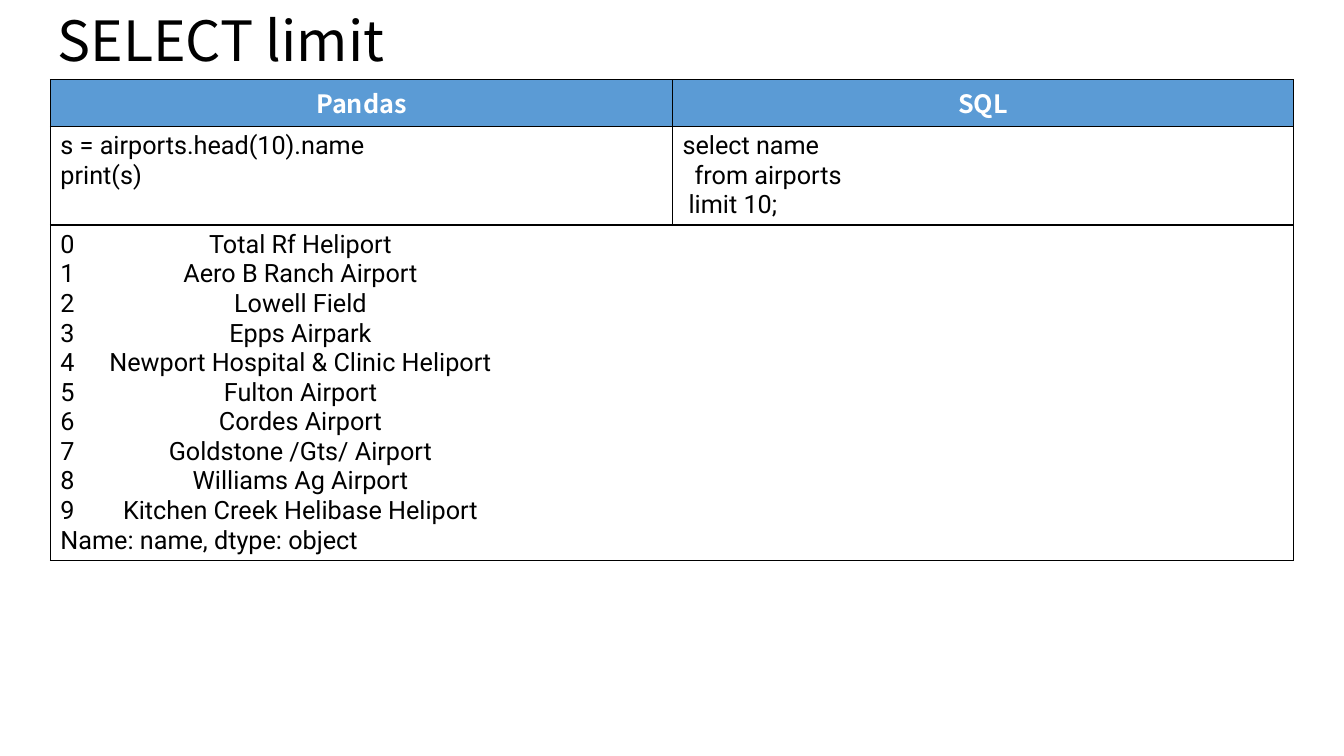
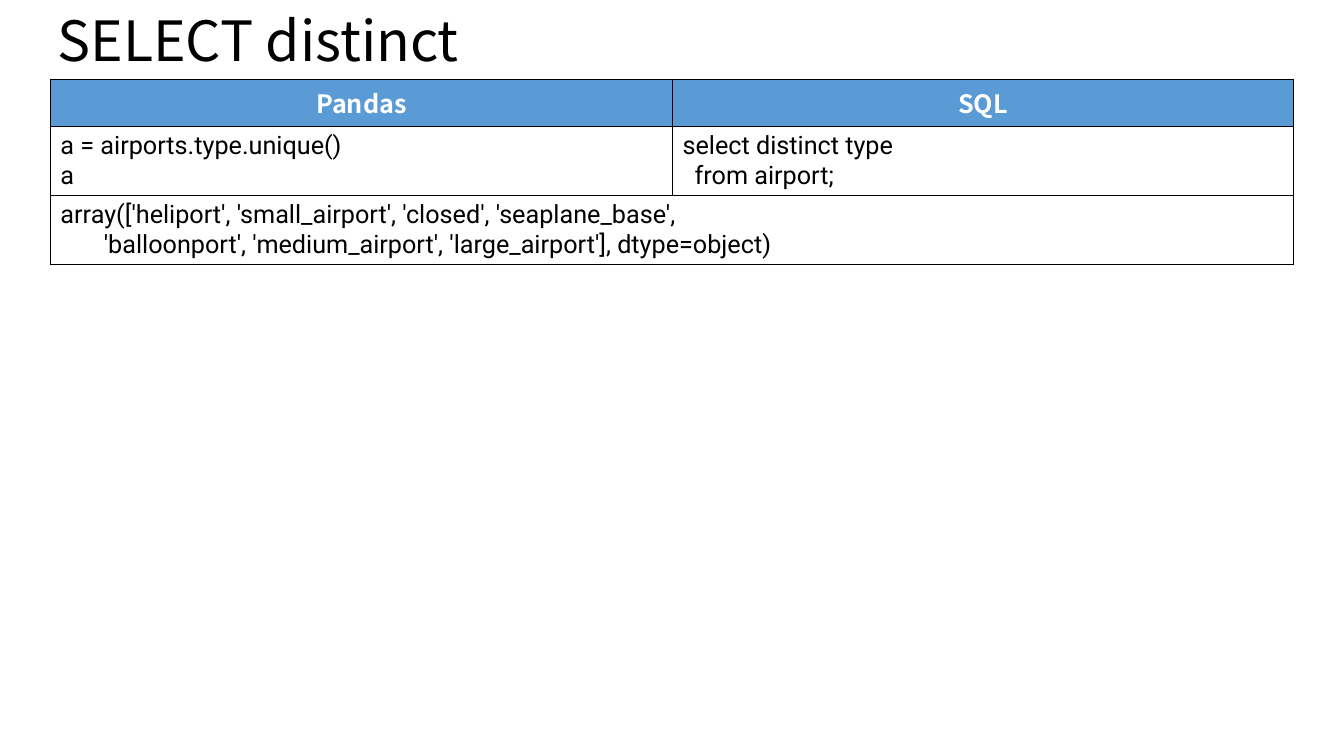
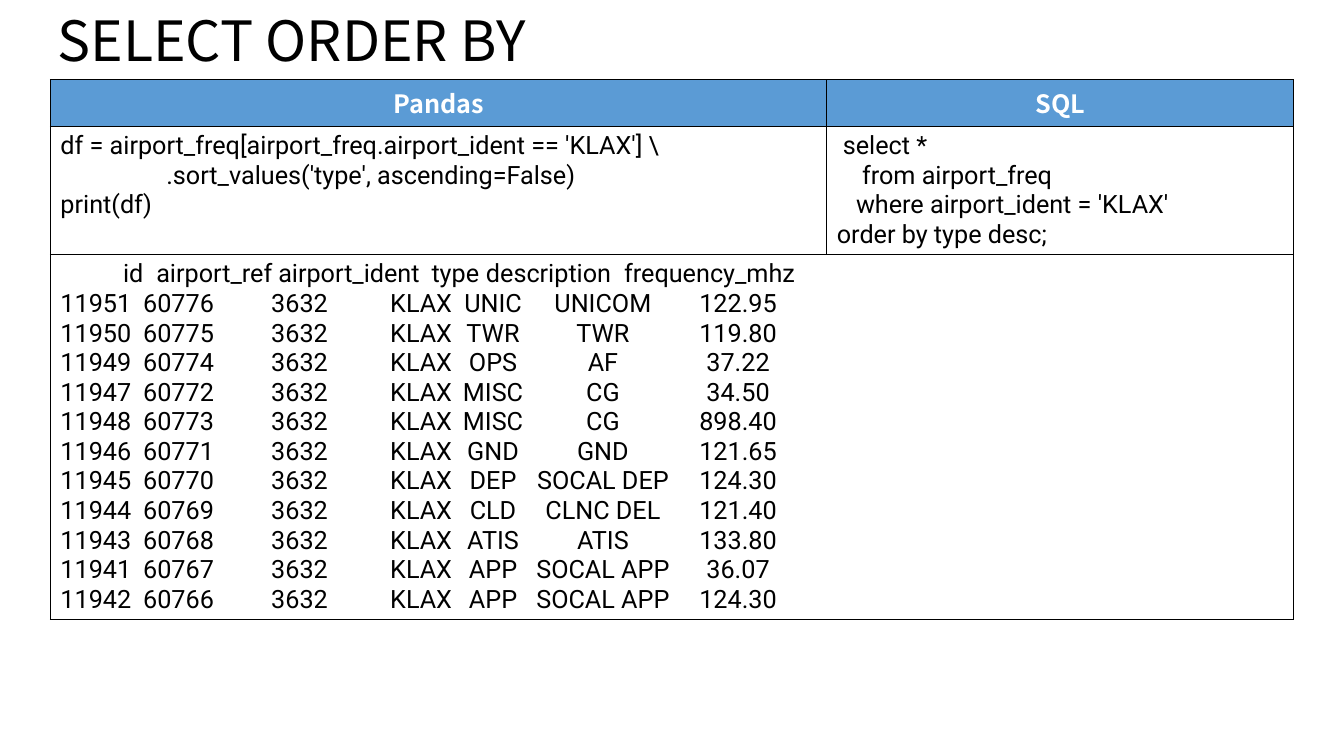
from dataclasses import dataclass

from lxml import etree
from pptx import Presentation
from pptx.dml.color import RGBColor
from pptx.enum.text import MSO_ANCHOR, PP_ALIGN
from pptx.oxml.ns import qn
from pptx.util import Inches, Pt

LEFT, CENTER = PP_ALIGN.LEFT, PP_ALIGN.CENTER
MIDDLE = MSO_ANCHOR.MIDDLE
TITLE_ONLY = 5


@dataclass(frozen=True)
class Theme:
    """Colours, fonts and type sizes of the deck."""
    black: RGBColor = RGBColor(0x00, 0x00, 0x00)
    white: RGBColor = RGBColor(0xFF, 0xFF, 0xFF)
    blue: RGBColor = RGBColor(0x5B, 0x9B, 0xD5)
    heading_font: str = "Noto Sans CJK KR"
    code_font: str = "Roboto"
    title_size: float = 39.6
    table_size: float = 18
    border: float = 1


@dataclass(frozen=True)
class Line:
    """One line of code or output, with its indent and tab stops in inches."""
    text: str
    indent: float = 0
    stops: tuple = ()


T = Theme()
TITLE_FONT = {"name": T.heading_font, "size": Pt(T.title_size), "bold": False}
HEAD_FONT = {"name": T.heading_font, "size": Pt(T.table_size), "bold": True}
CODE_FONT = {"name": T.code_font, "size": Pt(T.table_size), "bold": False}

TITLE_BOX = (0.47, 0.12, 11.5, 0.62)
TABLE_BOX = (0.5, 0.79, 12.33)
HEAD_HEIGHT, LINE_HEIGHT, ROW_PADDING = 0.46, 0.29, 0.1

NAME_STOPS = ((2.38, "ctr"),)
FREQ_HEAD_STOPS = tuple((x, "l") for x in (0.62, 0.95, 2.16, 3.68, 4.22, 5.59))
FREQ_STOPS = ((0.82, "l"), (2.09, "l"), (3.27, "l"),
              (4.29, "ctr"), (5.38, "ctr"), (6.72, "ctr"))

AIRPORT_NAMES = (
    "Total Rf Heliport", "Aero B Ranch Airport", "Lowell Field", "Epps Airpark",
    "Newport Hospital & Clinic Heliport", "Fulton Airport", "Cordes Airport",
    "Goldstone /Gts/ Airport", "Williams Ag Airport",
    "Kitchen Creek Helibase Heliport",
)
FREQ_HEAD = ("", "id", "airport_ref", "airport_ident", "type", "description",
             "frequency_mhz")
FREQUENCIES = (
    ("11951", "60776", "UNIC", "UNICOM", "122.95"),
    ("11950", "60775", "TWR", "TWR", "119.80"),
    ("11949", "60774", "OPS", "AF", "37.22"),
    ("11947", "60772", "MISC", "CG", "34.50"),
    ("11948", "60773", "MISC", "CG", "898.40"),
    ("11946", "60771", "GND", "GND", "121.65"),
    ("11945", "60770", "DEP", "SOCAL DEP", "124.30"),
    ("11944", "60769", "CLD", "CLNC DEL", "121.40"),
    ("11943", "60768", "ATIS", "ATIS", "133.80"),
    ("11941", "60767", "APP", "SOCAL APP", "36.07"),
    ("11942", "60766", "APP", "SOCAL APP", "124.30"),
)

SLIDES = (
    {
        "title": "SELECT limit",
        "pandas_width": 6.17,
        "pandas": [Line("s = airports.head(10).name"), Line("print(s)")],
        "sql": [Line("select name"), Line("from airports", 0.12),
                Line("limit 10;", 0.06)],
        "result": [Line(f"{i}\t{name}", stops=NAME_STOPS)
                   for i, name in enumerate(AIRPORT_NAMES)]
        + [Line("Name: name, dtype: object")],
    },
    {
        "title": "SELECT distinct",
        "pandas_width": 6.17,
        "pandas": [Line("a = airports.type.unique()"), Line("a")],
        "sql": [Line("select distinct type"), Line("from airport;", 0.12)],
        "result": [
            Line("array(['heliport', 'small_airport', 'closed', 'seaplane_base',"),
            Line("'balloonport', 'medium_airport', 'large_airport'], dtype=object)",
                 0.43),
        ],
    },
    {
        "title": "SELECT ORDER BY",
        "pandas_width": 7.7,
        "pandas": [
            Line("df = airport_freq[airport_freq.airport_ident == 'KLAX'] \\"),
            Line(".sort_values('type', ascending=False)", 1.05),
            Line("print(df)"),
        ],
        "sql": [Line("select *", 0.06), Line("from airport_freq", 0.25),
                Line("where airport_ident = 'KLAX'", 0.19),
                Line("order by type desc;")],
        "result": [Line("\t".join(FREQ_HEAD), stops=FREQ_HEAD_STOPS)]
        + [Line("\t".join((row, ident, "3632", "KLAX", *rest)), stops=FREQ_STOPS)
           for row, ident, *rest in FREQUENCIES],
    },
)


def write(p, text, font, color, align=LEFT):
    """Add one formatted run to a paragraph."""
    p.alignment = align
    r = p.add_run()
    r.text = text
    for key, value in font.items():
        setattr(r.font, key, value)
    r.font.color.rgb = color


def set_stops(p, line):
    """Give a paragraph the indent and tab stops of its line."""
    pPr = p._p.get_or_add_pPr()
    if line.indent:
        pPr.set("marL", str(Inches(line.indent)))
        pPr.set("indent", "0")
    if line.stops:
        tabs = etree.SubElement(pPr, qn("a:tabLst"))
        for x, align in line.stops:
            etree.SubElement(tabs, qn("a:tab"), pos=str(Inches(x)), algn=align)


def style_cell(cell, color):
    """Draw the four borders of a cell and fill it."""
    tcPr = cell._tc.get_or_add_tcPr()
    for side in ("lnL", "lnR", "lnT", "lnB"):
        ln = etree.SubElement(tcPr, qn(f"a:{side}"), w=str(Pt(T.border)))
        fill = etree.SubElement(ln, qn("a:solidFill"))
        etree.SubElement(fill, qn("a:srgbClr"), val=str(T.black))
    cell.fill.solid()
    cell.fill.fore_color.rgb = color


def write_lines(cell, lines):
    """Write lines of code or output into a cell."""
    tf = cell.text_frame
    for i, line in enumerate(lines):
        p = tf.add_paragraph() if i else tf.paragraphs[0]
        write(p, line.text, CODE_FONT, T.black)
        set_stops(p, line)


def add_title(s, box, text):
    """Place the title placeholder in its box."""
    sp = s.shapes.title
    sp.left, sp.top, sp.width, sp.height = map(Inches, box)
    tf = sp.text_frame
    tf.word_wrap = True
    tf.vertical_anchor = MIDDLE
    p = tf.paragraphs[0]
    p.line_spacing = 0.9
    write(p, text, TITLE_FONT, T.black)


def add_comparison(s, box, content):
    """Place the Pandas and SQL table with the shared result below."""
    left, top, width = box
    pandas, sql, result = (content[key] for key in ("pandas", "sql", "result"))
    heights = [HEAD_HEIGHT] + [ROW_PADDING + LINE_HEIGHT * n for n in
                               (max(len(pandas), len(sql)), len(result))]
    frame = s.shapes.add_table(3, 2, Inches(left), Inches(top), Inches(width),
                               Inches(sum(heights)))
    table = frame.table
    table.horz_banding = False
    split = content["pandas_width"]
    for column, size in zip(table.columns, (split, width - split)):
        column.width = Inches(size)
    for i, height in enumerate(heights):
        table.rows[i].height = Inches(height)
        for cell in table.rows[i].cells:
            style_cell(cell, T.white if i else T.blue)
    for i, (head, lines) in enumerate((("Pandas", pandas), ("SQL", sql))):
        p = table.cell(0, i).text_frame.paragraphs[0]
        write(p, head, HEAD_FONT, T.white, CENTER)
        write_lines(table.cell(1, i), lines)
    table.cell(2, 0).merge(table.cell(2, 1))
    write_lines(table.cell(2, 0), result)


def main():
    """Build and save the deck."""
    prs = Presentation()
    prs.slide_width, prs.slide_height = Inches(13.33), Inches(7.5)
    for content in SLIDES:
        s = prs.slides.add_slide(prs.slide_layouts[TITLE_ONLY])
        add_title(s, TITLE_BOX, content["title"])
        add_comparison(s, TABLE_BOX, content)
    prs.save("out.pptx")


main()
